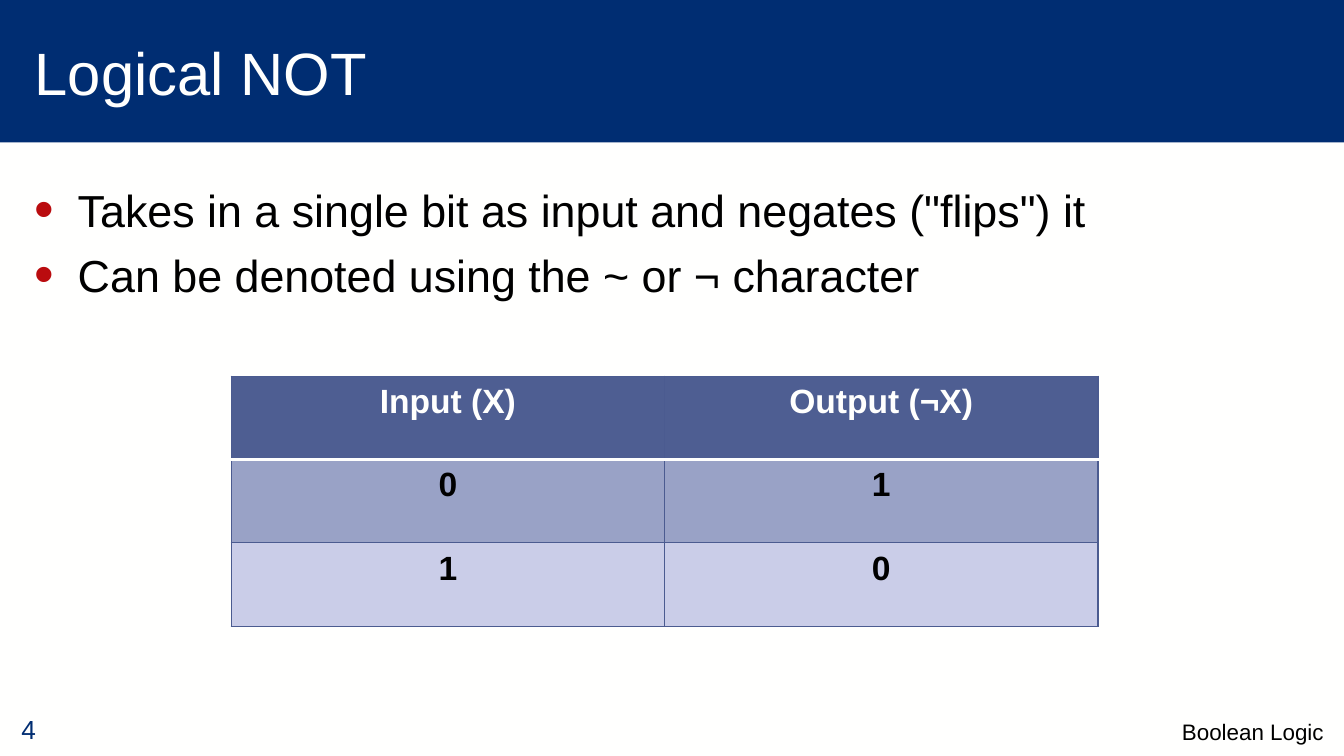
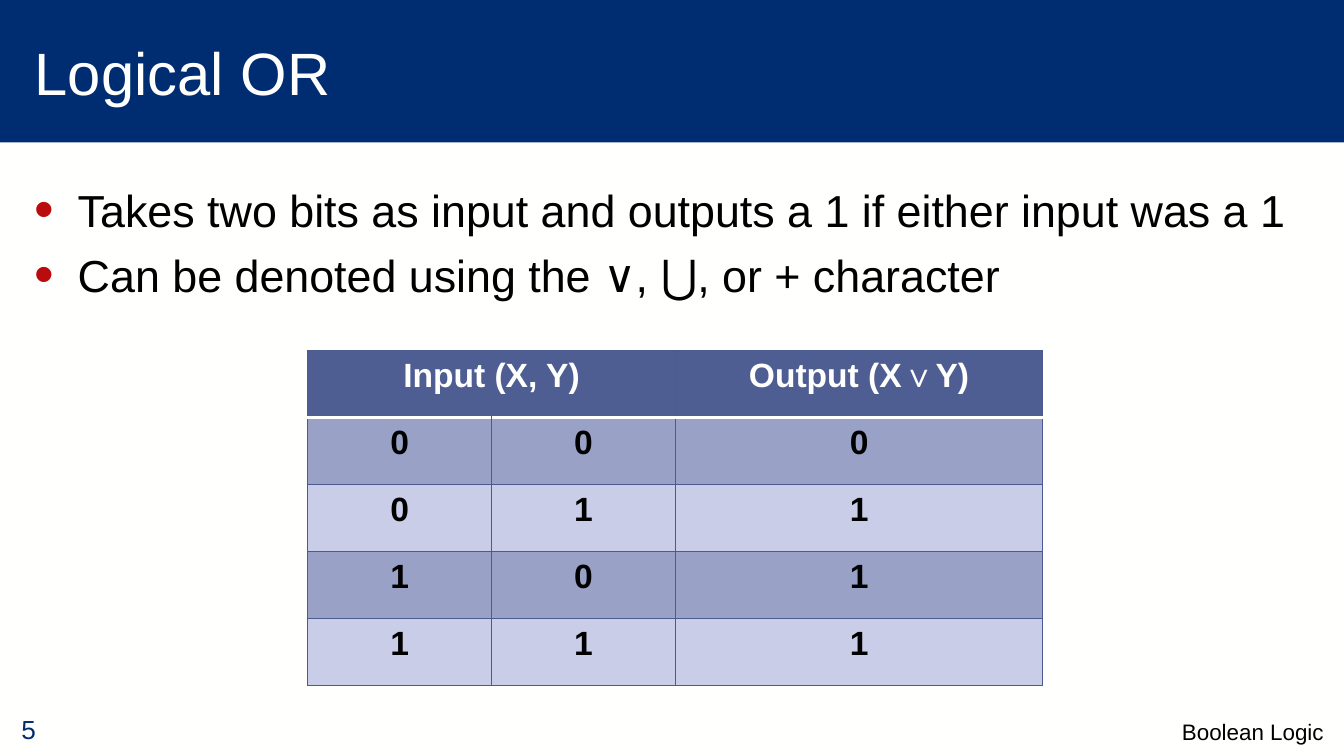
"""Builds two slides on the logical operators NOT and OR, each with a truth table."""
from lxml.etree import SubElement
from pptx import Presentation
from pptx.dml.color import RGBColor
from pptx.enum.shapes import MSO_SHAPE as SHAPE
from pptx.enum.text import MSO_ANCHOR as ANCHOR, PP_ALIGN as ALIGN
from pptx.oxml import parse_xml
from pptx.oxml.ns import nsdecls, qn
from pptx.util import Inches, Pt

NAVY, WHITE, BLACK, RED = "002D72", "FFFFFE", "000000", "BA0C0F"
HEADER, GRID = "4E5E92", "4B5B90"
BANDS = ["CACDE8", "99A2C6"]
LEFT, WIDTH = 0.16, 9.69


def color(value):
    return RGBColor.from_string(value)


def write(paragraph, text, size=18, fill=BLACK, bold=False, align=ALIGN.LEFT):
    paragraph.alignment = align
    run = paragraph.add_run()
    run.text = text
    run.font.name = "Arial"
    run.font.size = Pt(size)
    run.font.bold = bold
    run.font.color.rgb = color(fill)


lessons = [
    {
        "title": "Logical NOT",
        "points": ['Takes in a single bit as input and negates ("flips") it',
                   "Can be denoted using the ~ or\u00a0¬ character"],
        "box": (1.72, 2.8, 6.45, 1.86),
        "shares": [0.5, 0.5],
        "header": [["Input (X)"], ["Output (¬X)"]],
        "bits": ["01", "10"],
    },
    {
        "title": "Logical OR",
        "points": ["Takes two bits as input and outputs a 1 if either input was a 1",
                   "Can be denoted using the\u00a0∨, ⋃, or + character"],
        "box": (2.29, 2.61, 5.47, 2.49),
        "shares": [0.25, 0.25, 0.5],
        "header": [["Input (X, Y)"], [], ["Output (X", "∨", "Y)"]],
        "bits": ["000", "011", "101", "111"],
    },
]

deck = Presentation()
deck.slide_width = Inches(10)
deck.slide_height = deck.slide_width * 9 // 16

for number, lesson in enumerate(lessons, start=4):
    slide = deck.slides.add_slide(deck.slide_layouts[6])
    slide.background.fill.solid()
    slide.background.fill.fore_color.rgb = color(WHITE)

    band = slide.shapes.add_shape(SHAPE.RECTANGLE, 0, 0, deck.slide_width, Inches(1.06))
    band.shadow.inherit = False
    band.fill.solid()
    band.fill.fore_color.rgb = color(NAVY)
    band.line.fill.background()

    labels = [
        (str(number), (LEFT, 5.24, 0.61, 0.3), 14, NAVY, ALIGN.LEFT),
        (lesson["title"], (LEFT, 0.06, WIDTH, 0.94), 32, WHITE, ALIGN.LEFT),
        ("Boolean Logic", (0.96, 5.23, 8.89, 0.31), 12, BLACK, ALIGN.RIGHT),
    ]
    for text, place, size, fill, align in labels:
        frame = slide.shapes.add_textbox(*map(Inches, place)).text_frame
        frame.word_wrap = True
        frame.vertical_anchor = ANCHOR.MIDDLE
        if text != lesson["title"]:
            frame.vertical_anchor = ANCHOR.BOTTOM
            frame.margin_left = frame.margin_right = 0
            frame.margin_top = frame.margin_bottom = 0
        write(frame.paragraphs[0], text, size=size, fill=fill, align=align)

    body = slide.shapes.add_textbox(*map(Inches, (LEFT, 1.31, WIDTH, 3.71))).text_frame
    body.word_wrap = True
    for index, point in enumerate(lesson["points"]):
        paragraph = body.add_paragraph() if index else body.paragraphs[0]
        write(paragraph, point, size=24)
        paragraph.space_before = Pt(6)
        properties = paragraph._p.get_or_add_pPr()
        properties.set("marL", str(Inches(0.32)))
        properties.set("indent", str(-Inches(0.32)))
        SubElement(SubElement(properties, qn("a:buClr")), qn("a:srgbClr"), val=RED)
        SubElement(properties, qn("a:buSzPct"), val="125000")
        SubElement(properties, qn("a:buFont"), typeface="Arial")
        SubElement(properties, qn("a:buChar"), char="•")

    rows = [lesson["header"]] + [[[bit] for bit in bits] for bits in lesson["bits"]]
    shares = lesson["shares"]
    left, top, width, height = map(Inches, lesson["box"])
    truth = slide.shapes.add_table(len(rows), len(shares), left, top, width, height).table
    for column, share in zip(truth.columns, shares):
        column.width = int(width * share)
    for row in truth.rows:
        row.height = height // len(rows)
    if len(shares) == 3:
        truth.cell(0, 0).merge(truth.cell(0, 1))

    for r, row in enumerate(rows):
        for c, parts in enumerate(row):
            cell = truth.cell(r, c)
            for part in parts:
                write(cell.text_frame.paragraphs[0], part, fill=BLACK if r else WHITE,
                      bold=part != "∨", align=ALIGN.CENTER)
            for side in "LRTB":
                divider = (r, side) in [(0, "B"), (1, "T")]
                cell._tc.get_or_add_tcPr().append(parse_xml(
                    f'<a:ln{side} {nsdecls("a")} w="{Pt(2 if divider else 0.75)}"><a:solidFill>'
                    f'<a:srgbClr val="{WHITE if divider else GRID}"/></a:solidFill></a:ln{side}>'))
            cell.fill.solid()
            cell.fill.fore_color.rgb = color(BANDS[r % 2] if r else HEADER)

deck.save("out.pptx")
